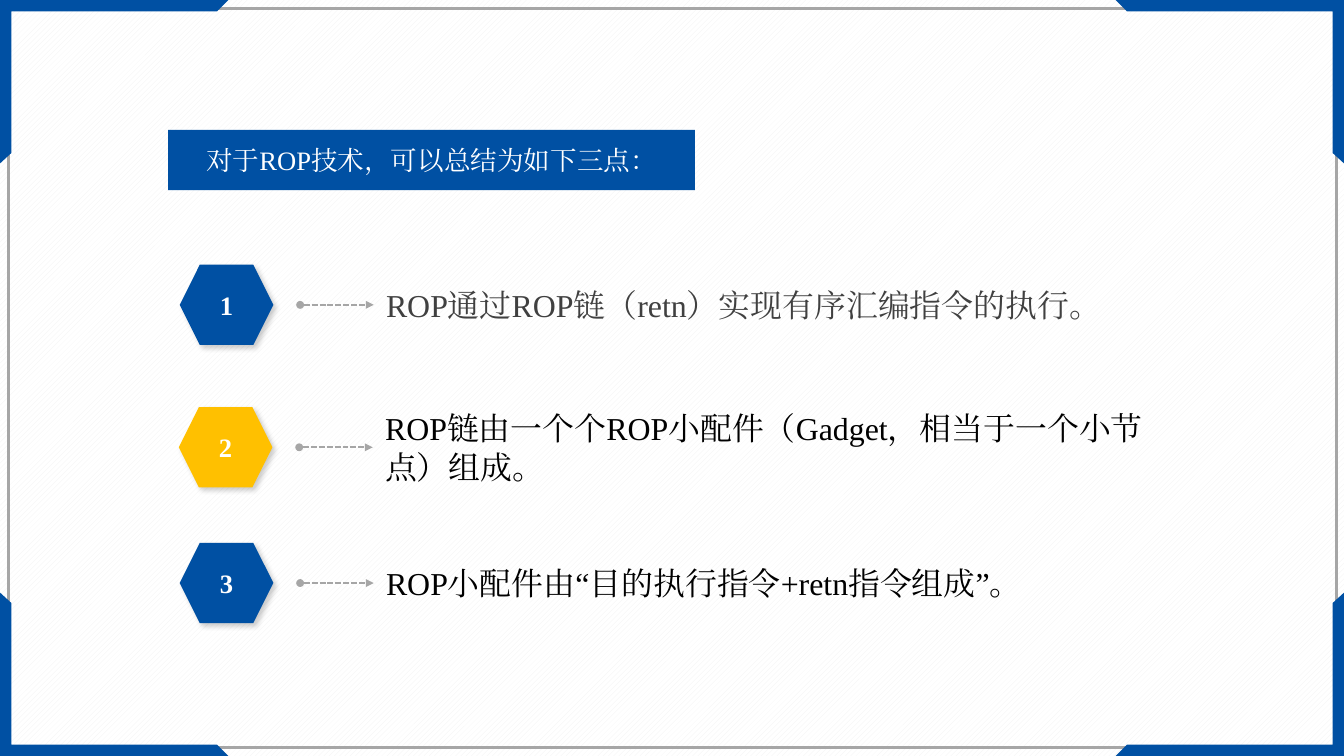
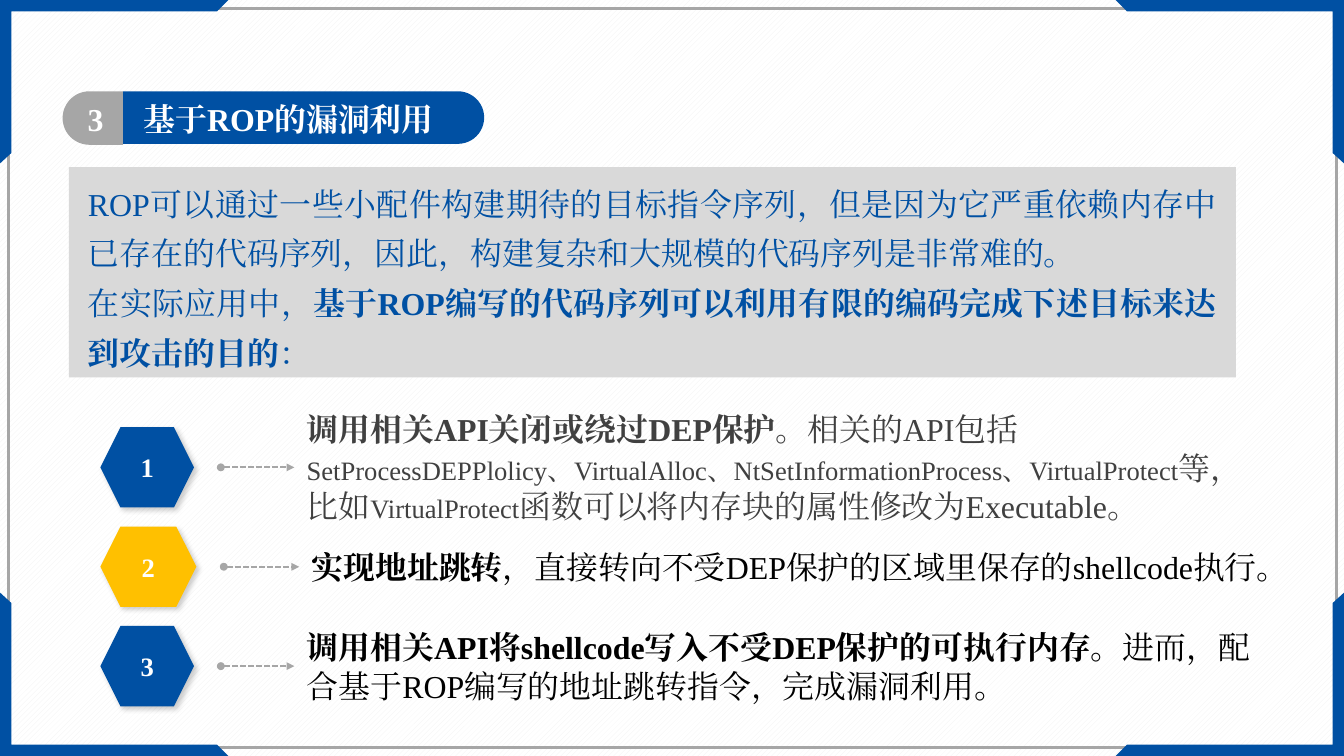
"""Build two slides on ROP: a three-point summary and its use in exploits."""
import itertools

import lxml.etree
import pptx
import pptx.dml.color
import pptx.enum.dml
import pptx.enum.lang
import pptx.enum.shapes
import pptx.enum.text
import pptx.oxml.ns
import pptx.util

Inches = pptx.util.Inches
Pt = pptx.util.Pt
qn = pptx.oxml.ns.qn
Kind = pptx.enum.shapes.MSO_SHAPE
Align = pptx.enum.text.PP_ALIGN
Anchor = pptx.enum.text.MSO_ANCHOR
Fit = pptx.enum.text.MSO_AUTO_SIZE

WIDE, HIGH = 14.06, 7.91
FACE = "Times New Roman"
HUES = {"blue": "0050A3", "gold": "FFC000", "gray": "A6A6A6", "pale": "D9D9D9",
        "dark": "404040", "black": "000000", "white": "FFFFFF", "hatch": "F2F2F2"}
CORNER = [(0, 0), (2.39, 0), (2.27, 0.12), (0.12, 0.12), (0.12, 1.6), (0, 1.71)]

BIG = {"size": Pt(24), "bold": False}
BOLD = {"size": Pt(24), "bold": True}
MID = {"size": Pt(20), "bold": False}
BADGE = {"size": Pt(20), "bold": True}

LEAD = "对于ROP技术，可以总结为如下三点："
TITLE = ("3", "基于ROP的漏洞利用")
INTRO = [
    [("ROP可以通过一些小配件构建期待的目标指令序列，但是因为它严重依赖内存中"
      "已存在的代码序列，因此，构建复杂和大规模的代码序列是非常难的。", BIG)],
    [("在实际应用中，", BIG),
     ("基于ROP编写的代码序列可以利用有限的编码完成下述目标来达到攻击的目的", BOLD),
     ("：", BIG)],
]
POINTS = [
    {"left": 1.88, "mid": 3.19, "size": (7.7, 0.5),
     "runs": [("ROP通过ROP链（retn）实现有序汇编指令的执行。", BIG)]},
    {"left": 1.87, "mid": 4.68, "size": (8.65, 0.91),
     "runs": [("ROP链由一个个ROP小配件（Gadget，相当于一个小节点）组成。", BIG)]},
    {"left": 1.88, "mid": 6.1, "size": (7.7, 0.5),
     "runs": [("ROP小配件由“目的执行指令+retn指令组成”。", BIG)]},
]
GOALS = [
    {"left": 1.05, "mid": 4.89, "size": (10.3, 1.31),
     "runs": [("调用相关API关闭或绕过DEP保护", BOLD),
              ("。相关的API包括", BIG),
              ("SetProcessDEPPlolicy、VirtualAlloc、"
               "NtSetInformationProcess、VirtualProtect", MID),
              ("等，比如", BIG),
              ("VirtualProtect", MID),
              ("函数可以将内存块的属性修改为Executable。", BIG)]},
    {"left": 1.05, "mid": 5.93, "size": (10.09, 0.91), "zoom": 1.025,
     "runs": [("实现地址跳转", BOLD),
              ("，直接转向不受DEP保护的区域里保存的shellcode执行。", BIG)]},
    {"left": 1.05, "mid": 6.97, "size": (10.15, 0.91),
     "runs": [("调用相关API将shellcode写入不受DEP保护的可执行内存", BOLD),
              ("。进而，配合基于ROP编写的地址跳转指令，完成漏洞利用。", BIG)]},
]


def rgb(hue):
    """Give the named colour."""
    return pptx.dml.color.RGBColor.from_string(HUES[hue])


def paint(shape, hue):
    """Fill a shape flat, with no line or shadow."""
    shape.shadow.inherit = False
    shape.fill.solid()
    shape.fill.fore_color.rgb = rgb(hue)
    shape.line.fill.background()
    return shape


def block(slide, kind, box, hue):
    """Add a flat preset shape."""
    return paint(slide.shapes.add_shape(kind, *map(Inches, box)), hue)


def write(shape, paras, hue, lines=None, **frame):
    """Put paragraphs of (text, format) runs in a shape."""
    body = shape.text_frame
    for key, value in {"word_wrap": True, **frame}.items():
        setattr(body, key, value)
    for num, runs in enumerate(paras):
        para = body.add_paragraph() if num else body.paragraphs[0]
        for key, value in (lines or {}).items():
            setattr(para, key, value)
        for text, look in runs:
            run = para.add_run()
            run.text = text
            base = {"name": FACE,
                    "language_id": pptx.enum.lang.MSO_LANGUAGE_ID.SIMPLIFIED_CHINESE}
            for key, value in {**base, **look}.items():
                setattr(run.font, key, value)
            run.font.color.rgb = rgb(hue)
            lxml.etree.SubElement(run.font._element, qn("a:ea"), typeface=FACE)


def label(slide, box, paras, hue, **rest):
    """Add a text box that grows with its text."""
    shape = slide.shapes.add_textbox(*map(Inches, box))
    write(shape, paras, hue, auto_size=Fit.SHAPE_TO_FIT_TEXT, **rest)


def shade(shape):
    """Give a shape a soft shadow to the lower right."""
    list_ = shape.element.spPr.find(qn("a:effectLst"))
    drop = lxml.etree.SubElement(list_, qn("a:outerShdw"), blurRad=str(Pt(4)),
                                 dist=str(Pt(3)), dir="2700000", algn="tl",
                                 rotWithShape="0")
    tint = lxml.etree.SubElement(drop, qn("a:srgbClr"), val=HUES["black"])
    lxml.etree.SubElement(tint, qn("a:alpha"), val="20000")


def arrow(slide, start, end, mid):
    """Add a dashed level arrow that starts with a dot."""
    link = slide.shapes.add_connector(pptx.enum.shapes.MSO_CONNECTOR.STRAIGHT,
                                      *map(Inches, (start, mid, end, mid)))
    link.line.color.rgb = rgb("gray")
    link.line.width = Pt(1.5)
    link.line.dash_style = pptx.enum.dml.MSO_LINE.SQUARE_DOT
    edge = link.element.spPr.find(qn("a:ln"))
    for tag, tip in (("a:headEnd", "oval"), ("a:tailEnd", "triangle")):
        lxml.etree.SubElement(edge, qn(tag), type=tip)
    lxml.etree.SubElement(link.element.spPr, qn("a:effectLst"))


def steps(slide, rows):
    """Add numbered hexagons, each with an arrow to its text."""
    for num, row in enumerate(rows, 1):
        left, mid, zoom = row["left"], row["mid"], row.get("zoom", 1)
        even = num % 2 == 0
        badge = block(slide, Kind.HEXAGON, (left, mid - 0.42, 0.98 * zoom, 0.84),
                      "gold" if even else "blue")
        shade(badge)
        write(badge, [[(str(num), BADGE)]], "white", {"alignment": Align.CENTER},
              vertical_anchor=Anchor.MIDDLE)
        wide, high = row["size"]
        label(slide, (left + 2.06 * zoom, mid - high / 2, wide, high), [row["runs"]],
              "dark" if num == 1 else "black", vertical_anchor=Anchor.MIDDLE)
        arrow(slide, left + 1.26 * zoom, left + 2.03 * zoom, mid)


def dress(layout, slide):
    """Move the shared frame and hatching to the layout."""
    for holder in list(layout.placeholders):
        holder.element.getparent().remove(holder.element)
    fill = layout.background.fill
    fill.patterned()
    fill.pattern = pptx.enum.dml.MSO_PATTERN.WIDE_UPWARD_DIAGONAL
    fill.fore_color.rgb = rgb("hatch")
    fill.back_color.rgb = rgb("white")
    rim = block(slide, Kind.RECTANGLE, (0.09, 0.09, 13.89, 7.73), "white")
    rim.fill.background()
    rim.line.color.rgb = rgb("gray")
    rim.line.width = Pt(2)
    parts = [rim]
    for right, low in itertools.product((False, True), repeat=2):
        dots = [(Inches(WIDE - x if right else x), Inches(HIGH - y if low else y))
                for x, y in CORNER]
        path = slide.shapes.build_freeform(*dots[0])
        path.add_line_segments(dots[1:], close=True)
        parts.append(paint(path.convert_to_shape(), "blue"))
    for part in parts:
        layout.shapes.element.append(part.element)


def banner(slide):
    """Add the two-part title pill."""
    for box, turn, hue in (((2.9, -0.66, 0.55, 3.78), 90, "blue"),
                           ((0.69, 0.92, 0.56, 0.63), 270, "gray")):
        half = block(slide, Kind.ROUND_2_SAME_RECTANGLE, box, hue)
        half.rotation = turn
        half.adjustments[0] = 0.5
    pads = {"margin_left": Inches(0.15), "margin_right": Inches(0.15),
            "margin_top": Inches(0.08), "margin_bottom": Inches(0.08)}
    for text, left, wide, side in zip(TITLE, (0.7, 1.35), (0.6, 4.11),
                                      (Align.CENTER, Align.LEFT)):
        label(slide, (left, 0.96, wide, 0.56), [[(text, BOLD)]], "white",
              lines={"alignment": side}, **pads)


def main():
    """Build and save the deck."""
    deck = pptx.Presentation()
    deck.slide_width, deck.slide_height = Inches(WIDE), Inches(HIGH)
    blank = deck.slide_layouts[6]
    first, second = (deck.slides.add_slide(blank) for _ in range(2))
    dress(blank, first)

    lead = block(first, Kind.RECTANGLE, (1.76, 1.36, 5.51, 0.63), "blue")
    write(lead, [[(LEAD, MID)]], "white", {"alignment": Align.CENTER},
          vertical_anchor=Anchor.MIDDLE)
    steps(first, POINTS)

    banner(second)
    intro = block(second, Kind.RECTANGLE, (0.72, 1.75, 12.21, 2.2), "pale")
    write(intro, INTRO, "blue", {"alignment": Align.JUSTIFY, "line_spacing": 1.3},
          vertical_anchor=Anchor.MIDDLE, margin_left=Inches(0.2),
          margin_right=Inches(0.2))
    steps(second, GOALS)
    deck.save("out.pptx")


if __name__ == "__main__":
    main()
